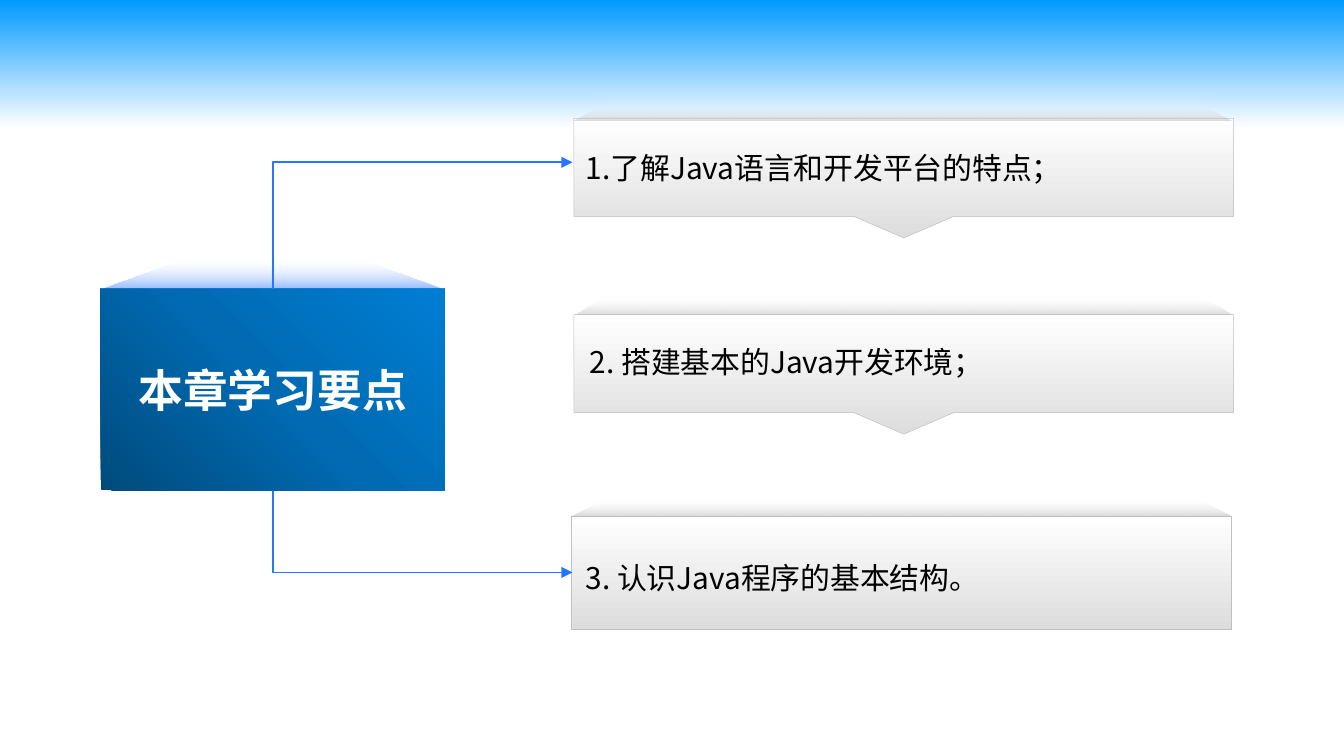
import lxml.etree
import pptx
import pptx.dml.color
import pptx.enum.shapes
import pptx.enum.text
import pptx.oxml.ns
import pptx.util

Pt = pptx.util.Pt
qn = pptx.oxml.ns.qn
SHAPES = pptx.enum.shapes.MSO_SHAPE

PANEL_WIDTH = 353.5
PANEL_STOPS = [(0, "DDDDDD", 100), (100, "FFFFFF", 100)]
LID_INSET = 17.5
TITLE_BOX = (54, 154.8, 184.3, 108)
BLUE = "2676FF"

# text, panel (left, top, height), lid (left, top, height), label (left, top, height)
ITEMS = [
    ("1.了解Java语言和开发平台的特点；",
     (307.4, 63.4, 64.1), (306.7, 55.4, 9.4), (306.7, 64.8, 44.6)),
    ("2. 搭建基本的Java开发环境；",
     (307.4, 168.5, 64.1), (307.4, 159.1, 9.4), (308.9, 168.5, 44.6)),
    ("3. 认识Java程序的基本结构。",
     (306.2, 276.3, 60.7), (306.2, 267.8, 8.6), (306.7, 288, 37.4)),
]


def color(value):
    return pptx.dml.color.RGBColor.from_string(value)


def set_gradient(fill, parent, stops, angle):
    """Stops are (position %, colour, opacity %); the angle runs clockwise."""
    fill.gradient()
    gradient = parent.find(qn("a:gradFill"))
    for child in list(gradient):
        gradient.remove(child)
    stop_list = lxml.etree.SubElement(gradient, qn("a:gsLst"))
    for position, value, opacity in stops:
        stop = lxml.etree.SubElement(stop_list, qn("a:gs"), pos=str(position * 1000))
        tint = lxml.etree.SubElement(stop, qn("a:srgbClr"), val=value)
        if opacity < 100:
            lxml.etree.SubElement(tint, qn("a:alpha"), val=str(opacity * 1000))
    lxml.etree.SubElement(gradient, qn("a:lin"), ang=str(angle * 60000), scaled="0")


def style_shape(shape, stops, angle, line=None):
    shape.shadow.inherit = False
    set_gradient(shape.fill, shape._element.spPr, stops, angle)
    if line:
        shape.line.color.rgb = color(line)
        shape.line.width = Pt(0.25)
    else:
        shape.line.fill.background()


def add_panel(slide, left, top, height, pointed):
    """Grey panel, with a pointer below it when another item follows."""
    kind = SHAPES.UP_ARROW_CALLOUT if pointed else SHAPES.RECTANGLE
    panel = slide.shapes.add_shape(kind, Pt(left), Pt(top), Pt(PANEL_WIDTH), Pt(height))
    if pointed:
        for index, value in enumerate((0.829, 0.414, 0.18, 0.819)):
            panel.adjustments[index] = value
    panel.rotation = 180
    style_shape(panel, PANEL_STOPS, 90, "C0C0C0")


def add_lid(slide, left, top, width, height, inset, tint):
    """Trapezoid above a box that fades out upwards."""
    right, bottom = left + width, top + height
    builder = slide.shapes.build_freeform(Pt(left), Pt(bottom))
    builder.add_line_segments([
        (Pt(left + inset), Pt(top)),
        (Pt(right - inset), Pt(top)),
        (Pt(right), Pt(bottom)),
    ])
    style_shape(builder.convert_to_shape(), [(0, tint, 50), (100, "FFFFFF", 0)], 270)


def format_text(frame, text, size, font, value):
    frame.vertical_anchor = pptx.enum.text.MSO_ANCHOR.MIDDLE
    para = frame.paragraphs[0]
    para.text = text
    para.font.size = Pt(size)
    para.font.name = font
    para.font.color.rgb = color(value)
    return para


def add_label(slide, text, left, top, height):
    box = slide.shapes.add_textbox(Pt(left), Pt(top), Pt(350.6), Pt(height))
    box.text_frame.word_wrap = True
    para = format_text(box.text_frame, text, 16, "Noto Sans CJK SC", "000000")
    para.line_spacing = 1.3


def add_title_box(slide, text):
    box = slide.shapes.add_shape(SHAPES.RECTANGLE, *map(Pt, TITLE_BOX))
    style_shape(box, [(0, "004B7D", 100), (50, "006AB2", 100), (100, "007ED3", 100)], 315)
    box.text_frame.word_wrap = False
    para = format_text(box.text_frame, text, 24, "Times New Roman", "FFFFFF")
    para.font.bold = True
    para.alignment = pptx.enum.text.PP_ALIGN.CENTER


def add_bent_arrow(slide, start_x, start_y, end_x, end_y):
    """One-bend arrow: vertical first, then to the right."""
    run, rise = end_x - start_x, abs(end_y - start_y)
    center_x, center_y = (start_x + end_x) / 2, (start_y + end_y) / 2
    left, right = center_x - rise / 2, center_x + rise / 2
    top, bottom = center_y - run / 2, center_y + run / 2
    upward = end_y < start_y
    begin_y, finish_y = (bottom, top) if upward else (top, bottom)
    arrow = slide.shapes.add_connector(
        pptx.enum.shapes.MSO_CONNECTOR.ELBOW,
        Pt(right), Pt(begin_y), Pt(left), Pt(finish_y))
    properties = arrow._element.spPr
    properties.find(qn("a:xfrm")).set("rot", str((90 if upward else 270) * 60000))
    properties.find(qn("a:prstGeom")).set("prst", "bentConnector2")
    arrow.line.color.rgb = color(BLUE)
    arrow.line.width = Pt(1)
    lxml.etree.SubElement(properties.find(qn("a:ln")), qn("a:tailEnd"), type="triangle")
    lxml.etree.SubElement(properties, qn("a:effectLst"))


def main():
    deck = pptx.Presentation()
    deck.slide_width, deck.slide_height = Pt(720), Pt(405)
    slide = deck.slides.add_slide(deck.slide_layouts[6])

    # Background fading from blue to white
    fill = slide.background.fill
    fill.solid()
    set_gradient(fill, slide._element.find(".//" + qn("p:bgPr")),
                 [(0, "0099FF", 100), (17, "FFFFFF", 100)], 90)

    # Learning points
    for index, (text, panel, lid, label) in enumerate(ITEMS):
        add_panel(slide, *panel, pointed=index < len(ITEMS) - 1)
        lid_left, lid_top, lid_height = lid
        add_lid(slide, lid_left, lid_top, PANEL_WIDTH, lid_height, LID_INSET, "B2B2B2")
        add_label(slide, text, *label)

    # Chapter box
    left, top, width, height = TITLE_BOX
    add_title_box(slide, "本章学习要点")
    add_lid(slide, left, top - 17, width, 16.6, 46.8, BLUE)

    # Arrows to the first and last points
    middle = left + width / 2
    add_bent_arrow(slide, middle, top, 306.7, 87)
    add_bent_arrow(slide, middle, top + height, 306.7, 306.7)

    deck.save("out.pptx")


if __name__ == "__main__":
    main()
